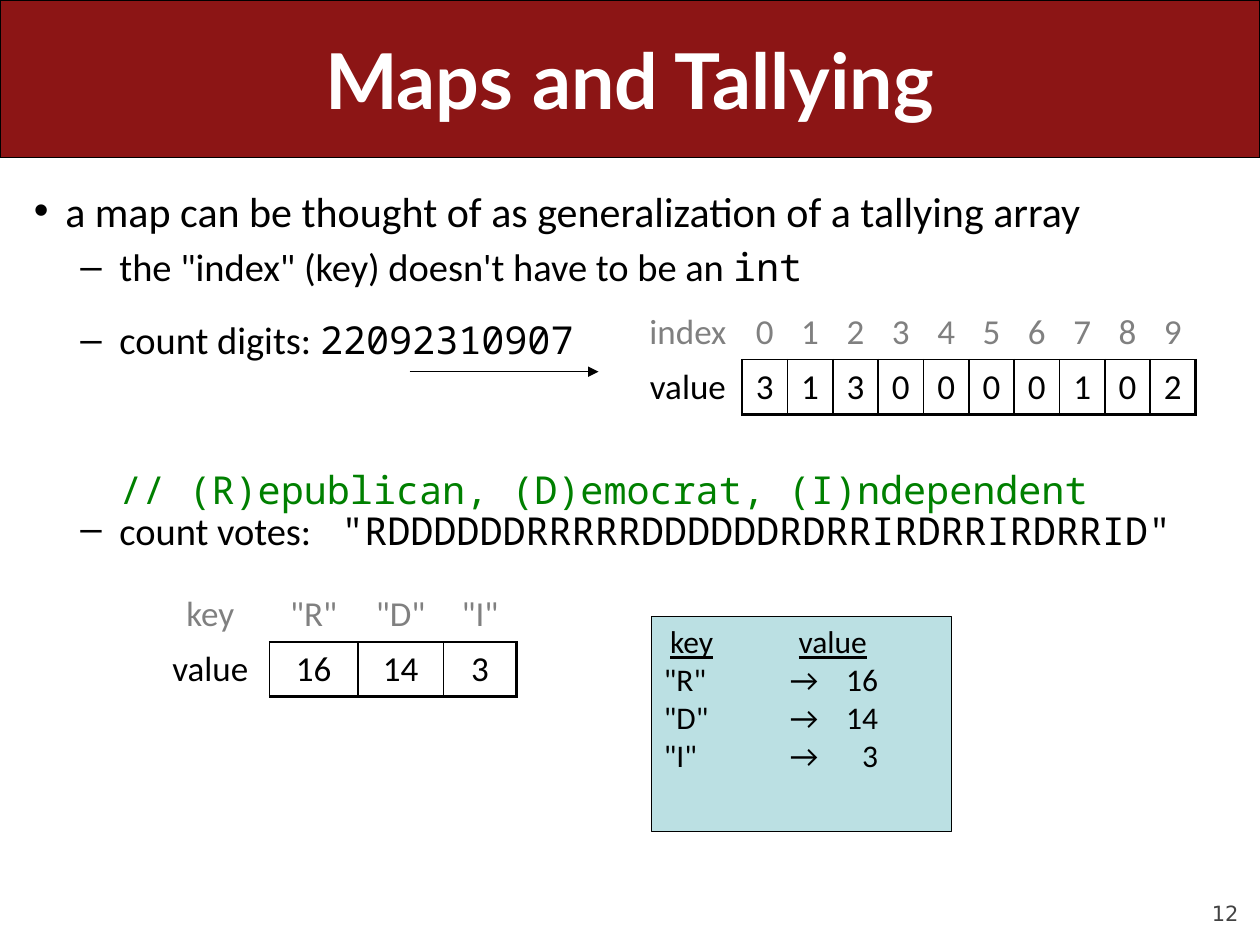
from lxml.etree import SubElement
from pptx import Presentation
from pptx.dml.color import RGBColor
from pptx.enum.shapes import MSO_CONNECTOR as Connector, MSO_SHAPE as Shape
from pptx.enum.text import MSO_ANCHOR as Anchor, PP_ALIGN as Align
from pptx.oxml.ns import qn
from pptx.util import Inches, Pt

COLORS = {"black": "000000", "white": "FFFFFF", "banner": "8C1515", "gray": "808080",
          "comment": "008000", "map": "BBE0E3", "number": "424242"}
SANS, MONO = "Calibri", "Noto Sans Mono"


def style(font, size, name, color):
    font.size, font.name = Pt(size), name
    font.color.rgb = RGBColor.from_string(COLORS[color])


def add_tally(left, top, widths, rows):
    table = slide.shapes.add_table(2, len(widths), Inches(left), Inches(top),
                                   Inches(sum(widths)), Inches(0.87)).table
    table.first_row = table.horz_banding = False
    for column, width in zip(table.columns, widths):
        column.width = Inches(width)
    last = len(widths) - 1
    for r, labels in enumerate(rows):
        for c, label in enumerate(labels):
            cell = table.cell(r, c)
            paragraph = cell.text_frame.paragraphs[0]
            paragraph.text = label
            paragraph.alignment = Align.CENTER
            style(paragraph.font, 20, SANS, "black" if r else "gray")
            if c == 0:
                borders = {"lnR": 1} if r else {}
            elif r == 0:
                borders = {"lnB": 1}
            else:
                borders = {"lnL": 1, "lnR": 2.25 if c == last else 1, "lnT": 1, "lnB": 2.25}
            properties = cell._tc.get_or_add_tcPr()
            for side, weight in borders.items():
                border = SubElement(properties, qn(f"a:{side}"), w=str(Pt(weight)))
                fill = SubElement(border, qn("a:solidFill"))
                SubElement(fill, qn("a:srgbClr"), val=COLORS["black"])
            cell.fill.background()


prs = Presentation()
prs.slide_width, prs.slide_height = Inches(10), Inches(7.5)
slide = prs.slides.add_slide(prs.slide_layouts[6])

number = slide.shapes.add_textbox(Inches(9), Inches(6.95), Inches(0.83), Inches(0.4)).text_frame
number.margin_left = number.margin_right = number.margin_top = number.margin_bottom = 0
number.word_wrap = True
number.vertical_anchor = Anchor.BOTTOM
number.text = "12"
number.paragraphs[0].alignment = Align.RIGHT
style(number.paragraphs[0].font, 12, "DejaVu Sans", "number")

banner = slide.shapes.add_shape(Shape.ROUNDED_RECTANGLE, 0, 0, Inches(10), Inches(1.25))
banner.adjustments[0] = 0
map_box = slide.shapes.add_shape(Shape.RECTANGLE, Inches(5.17), Inches(4.89),
                                 Inches(2.38), Inches(1.71))
for panel, color in ((banner, "banner"), (map_box, "map")):
    panel.shadow.inherit = False
    panel.fill.solid()
    panel.fill.fore_color.rgb = RGBColor.from_string(COLORS[color])
    panel.line.color.rgb = RGBColor.from_string(COLORS["black"])
    panel.line.width = Pt(0.75)

title = slide.shapes.add_textbox(Inches(0.5), 0, Inches(9), Inches(1.25)).text_frame
title.word_wrap = True
title.vertical_anchor = Anchor.MIDDLE
title.text = "Maps and Tallying"
title.paragraphs[0].alignment = Align.CENTER
style(title.paragraphs[0].font, 44, "Lato", "white")
title.paragraphs[0].font.bold = True

points = [
    ("•", 24, 0, 1, [("a map can be thought of as generalization of a tallying array", SANS, "black")]),
    ("–", 22, 4.4, 1, [("the \"index\" (key) doesn't have to be an ", SANS, "black"),
                       ("int", MONO, "black")]),
    ("–", 22, 15.5, 1, [("count digits: ", SANS, "black"), ("22092310907", MONO, "black")]),
    (None, 22, 66, 0.7, [("// (R)epublican, (D)emocrat, (I)ndependent", MONO, "comment")]),
    ("–", 22, 5, 0.7, [("count votes:\t", SANS, "black"),
                       ('"RDDDDDDRRRRRDDDDDDRDRRIRDRRIRDRRID"', MONO, "black")]),
]
body = slide.shapes.add_textbox(Inches(0.17), Inches(1.42), Inches(9.67), Inches(5.67)).text_frame
body.word_wrap = True
for i, (bullet, size, before, spacing, pieces) in enumerate(points):
    paragraph = body.add_paragraph() if i else body.paragraphs[0]
    paragraph.level = 1 if i else 0
    properties = paragraph._p.get_or_add_pPr()
    properties.set("marL", str(Inches(0.68 if i else 0.25)))
    hanging = (0.31 if i else 0.25) if bullet else 0
    properties.set("indent", str(-Inches(hanging)))
    if bullet:
        SubElement(properties, qn("a:buFont"), typeface="Arial")
        SubElement(properties, qn("a:buChar"), char=bullet)
    else:
        SubElement(properties, qn("a:buNone"))
    tabs = SubElement(properties, qn("a:tabLst"))
    SubElement(tabs, qn("a:tab"), pos=str(Inches(2.44)), algn="l")
    paragraph.space_before = Pt(before)
    paragraph.line_spacing = spacing
    for text, font_name, color in pieces:
        run = paragraph.add_run()
        run.text = text
        style(run.font, size, font_name, color)

add_tally(5.03, 2.42, [0.86] + [0.36] * 10,
          [["index", *"0123456789"], ["value", *"3130000102"]])

arrow = slide.shapes.add_connector(Connector.STRAIGHT, Inches(3.25), Inches(2.95),
                                   Inches(4.75), Inches(2.95))
arrow.line.color.rgb = RGBColor.from_string(COLORS["black"])
arrow.line.width = Pt(0.75)
SubElement(arrow.line._get_or_add_ln(), qn("a:tailEnd"), type="triangle")
SubElement(arrow._element.spPr, qn("a:effectLst"))

add_tally(1.2, 4.66, [0.94, 0.7, 0.68, 0.58],
          [["key", '"R"', '"D"', '"I"'], ["value", "16", "14", "3"]])

entries = map_box.text_frame
entries.word_wrap = True
entries.vertical_anchor = Anchor.TOP
for i, text in enumerate(["key\tvalue", '"R"\t→\t16', '"D"\t→\t14', '"I"\t→\t3']):
    paragraph = entries.paragraphs[0] if i == 0 else entries.add_paragraph()
    paragraph.alignment = Align.LEFT
    properties = paragraph._p.get_or_add_pPr()
    properties.set("marL", str(Inches(0 if i else 0.05)))
    tabs = SubElement(properties, qn("a:tabLst"))
    for position, side in ([(1, "l"), (1.7, "r")] if i else [(1.02, "l")]):
        SubElement(tabs, qn("a:tab"), pos=str(Inches(position)), algn=side)
    style(paragraph.font, 18, SANS, "black")
    for j, part in enumerate(text.split("\t")):
        if j:
            paragraph.add_run().text = "\t"
        run = paragraph.add_run()
        run.text = part
        if i == 0:
            run.font.underline = True

prs.save("out.pptx")
